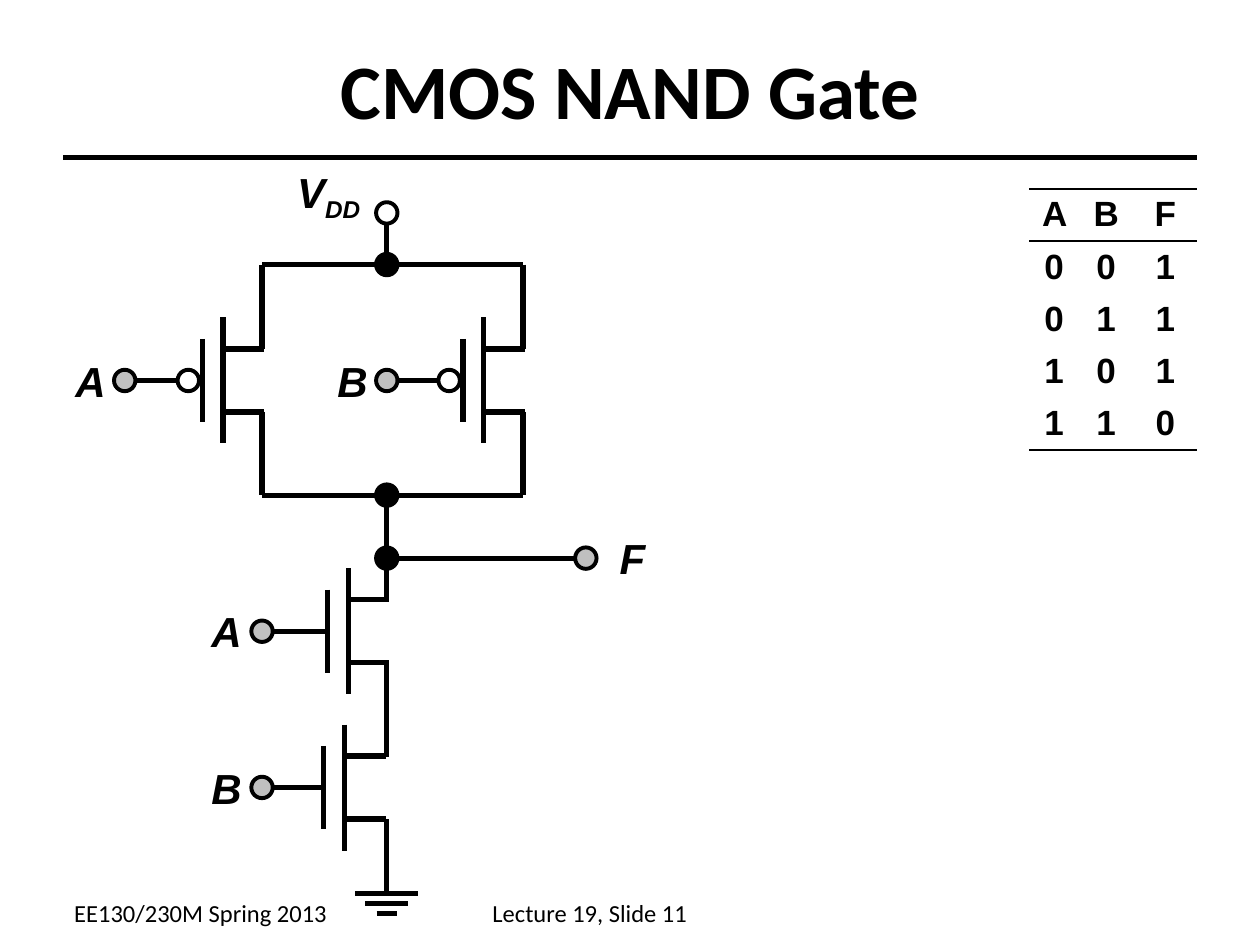
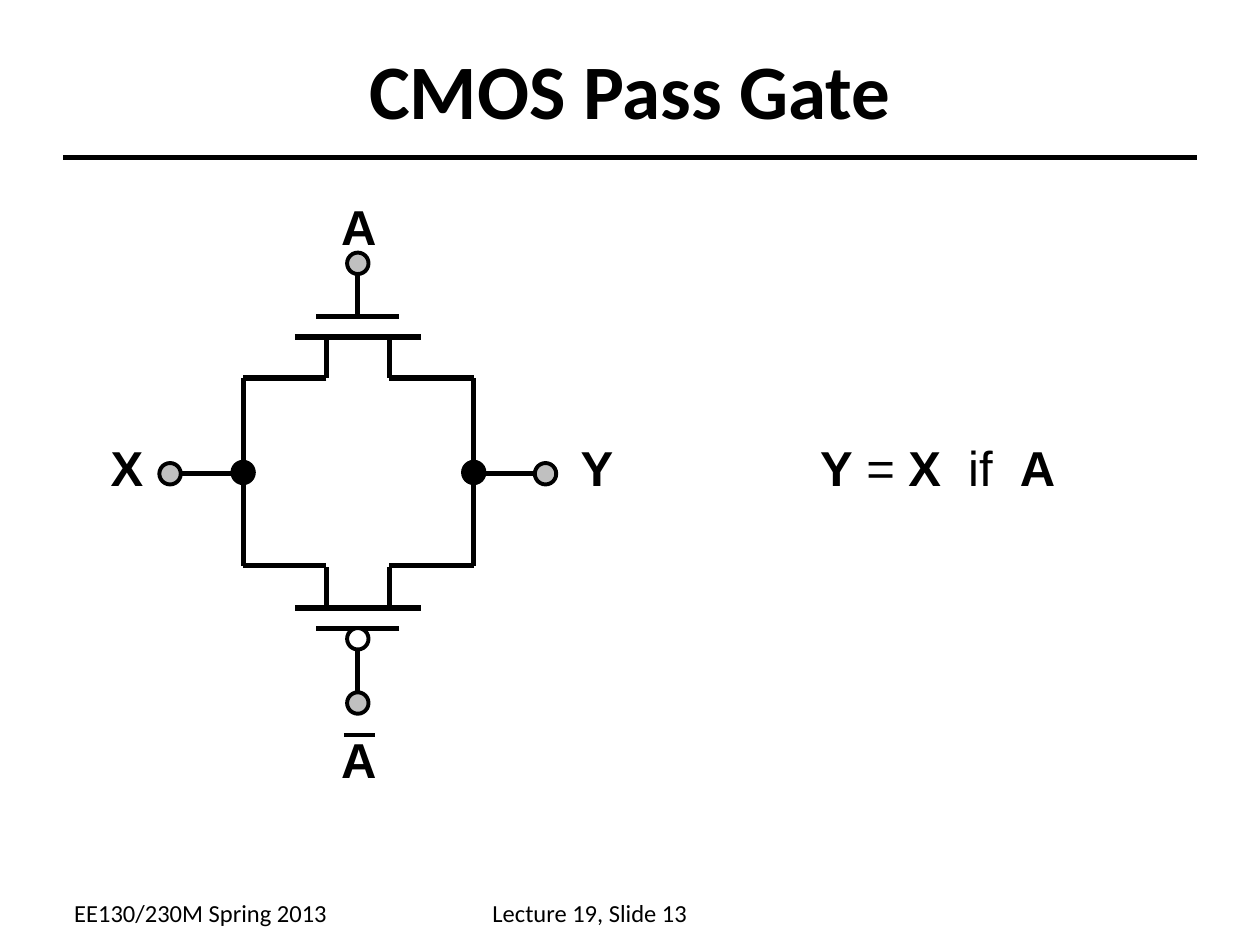
from lxml import etree
from pptx import Presentation
from pptx.dml.color import RGBColor
from pptx.enum.shapes import MSO_CONNECTOR, MSO_SHAPE
from pptx.enum.text import MSO_ANCHOR, MSO_AUTO_SIZE, PP_ALIGN
from pptx.oxml.ns import qn
from pptx.util import Inches, Pt

STRAIGHT = MSO_CONNECTOR.STRAIGHT
OVAL = MSO_SHAPE.OVAL
MIDDLE = MSO_ANCHOR.MIDDLE
FIT_SHAPE = MSO_AUTO_SIZE.SHAPE_TO_FIT_TEXT
LEFT, CENTER = PP_ALIGN.LEFT, PP_ALIGN.CENTER

BLACK, WHITE, GREY = "000000", "FFFFFF", "C0C0C0"
HEAD_FONT, LABEL_FONT = "Calibri", "Arial"
WIRE, RING = 3, 2.25          # line widths in points
DIAMETER = 0.17               # terminals, bubbles and junctions
RULE_Y = 1.25

# The grid has 10 columns and 7.5 rows
SLIDE_W, SLIDE_H = Inches(10), Inches(7.5)
COL, ROW = SLIDE_W / 10, SLIDE_H / 7.5


def x_at(columns):
    return round(columns * COL)


def y_at(rows):
    return round(rows * ROW)


def color(value):
    return RGBColor.from_string(value)


# Text
def write(p, text, size=24, font=LABEL_FONT, bold=False, italic=False,
          baseline=0, align=LEFT):
    p.alignment = align
    r = p.add_run()
    r.text = text
    r.font.size, r.font.name = Pt(size), font
    r.font.bold, r.font.italic = bold, italic
    r.font.color.rgb = color(BLACK)
    if baseline:
        r._r.get_or_add_rPr().set("baseline", str(baseline * 1000))


def label(s, x, y, width, *runs, size=24, **fmt):
    """A one-line box; each run is a text or a (text, format) pair."""
    height = size * 1.2 / 72 + 0.1
    box = s.shapes.add_textbox(x_at(x), y_at(y), x_at(width), y_at(height))
    tf = box.text_frame
    tf.word_wrap = False
    tf.auto_size = FIT_SHAPE
    for run in runs:
        text, extra = (run, {}) if isinstance(run, str) else run
        write(tf.paragraphs[0], text, **{"size": size, **fmt, **extra})


# Circuit parts
def wire(s, *points, width=WIRE):
    """Straight lines through the points; returns the last one."""
    for (x1, y1), (x2, y2) in zip(points, points[1:]):
        line = s.shapes.add_connector(STRAIGHT, x_at(x1), y_at(y1),
                                      x_at(x2), y_at(y2))
        line.line.color.rgb = color(BLACK)
        line.line.width = Pt(width)
        etree.SubElement(line.element.spPr, qn("a:effectLst"))
    return line


def circle(s, x, y, fill):
    sp = s.shapes.add_shape(OVAL, x_at(x - DIAMETER / 2), y_at(y - DIAMETER / 2),
                            x_at(DIAMETER), y_at(DIAMETER))
    sp.shadow.inherit = False
    sp.fill.solid()
    sp.fill.fore_color.rgb = color(fill)
    sp.line.color.rgb = color(BLACK)
    sp.line.width = Pt(RING)


def mosfet(s, x, y, dx, dy):
    """Gate bar centred on (x, y), with the channel towards (dx, dy)."""
    def point(along, across):
        return x + dx * along + dy * across, y + dy * along + dx * across

    gap, reach = 0.165, 0.49
    wire(s, point(0, -0.33), point(0, 0.33))
    wire(s, point(gap, -0.5), point(gap, 0.5))
    for across in (-0.25, 0.25):
        wire(s, point(gap, across), point(reach, across))


# Table
def border(cell, side, width):
    ln = etree.SubElement(cell._tc.get_or_add_tcPr(), qn("a:" + side))
    if not width:
        etree.SubElement(ln, qn("a:noFill"))
        return
    ln.set("w", str(Pt(width)))
    fill = etree.SubElement(ln, qn("a:solidFill"))
    etree.SubElement(fill, qn("a:srgbClr")).set("val", BLACK)


def truth_table(s, x, y, widths, row_height, rows):
    frame = s.shapes.add_table(len(rows), len(widths), x_at(x), y_at(y),
                               x_at(sum(widths)), y_at(row_height * len(rows)))
    table = frame.table
    table.first_row = table.horz_banding = False
    for column, width in zip(table.columns, widths):
        column.width = x_at(width)
    last = len(rows) - 1
    for i, values in enumerate(rows):
        table.rows[i].height = y_at(row_height)
        for j, value in enumerate(values):
            cell = table.cell(i, j)
            cell.margin_bottom = y_at(0.03)
            write(cell.text_frame.paragraphs[0], value, size=20, bold=True,
                  align=CENTER)
            border(cell, "lnL", 0)
            border(cell, "lnR", 0)
            border(cell, "lnT", 1.47 if i in (0, 1) else 0)
            border(cell, "lnB", 1.47 if i in (0, last) else 0)
            cell.fill.background()


# Shared title and footer
def new_slide(prs, title, number):
    s = prs.slides.add_slide(prs.slide_layouts[5])
    sp = s.shapes.title
    sp.left, sp.top = x_at(0.5), y_at(0.08)
    sp.width, sp.height = x_at(9), y_at(1.25)
    tf = sp.text_frame
    tf.vertical_anchor = MIDDLE
    write(tf.paragraphs[0], title, size=44, font=HEAD_FONT, bold=True,
          align=CENTER)
    label(s, 0.49, 7.08, 2.21, "EE130/230M Spring 2013", size=14, font=HEAD_FONT)
    label(s, 3.81, 7.08, 2.37, f"Lecture 19, Slide {number}", size=14,
          font=HEAD_FONT)
    return s


def add_layout_rule(prs, s):
    rule = wire(s, (0.5, RULE_Y), (9.5, RULE_Y))
    prs.slide_layouts[5].shapes.element.append(rule.element)


def nand_slide(prs):
    s = new_slide(prs, "CMOS NAND Gate", 11)
    add_layout_rule(prs, s)
    truth_table(s, 8.17, 1.5, (0.39, 0.44, 0.5), 0.33,
                ("ABF", "001", "011", "101", "110"))

    left, mid, right = 2.08, 3.07, 4.15
    supply, top, bottom, output = 1.69, 2.1, 3.93, 4.43
    name = {"bold": True, "italic": True}

    # Pull-up pair in parallel
    pull_up_y = 3.02
    wire(s, (mid, supply + DIAMETER / 2), (mid, top))
    for y in (top, bottom):
        wire(s, (left, y), (right, y))
    for text, drain, terminal in (("A", left, 0.99), ("B", right, mid)):
        gate = drain - 0.475
        bubble = gate - 0.11
        mosfet(s, gate, pull_up_y, 1, 0)
        wire(s, (drain, top), (drain, pull_up_y - 0.25))
        wire(s, (drain, pull_up_y + 0.25), (drain, bottom))
        wire(s, (terminal, pull_up_y), (bubble, pull_up_y))
        circle(s, bubble, pull_up_y, WHITE)
        circle(s, terminal, pull_up_y, GREY)
        label(s, terminal - 0.49, 2.77, 0.44, text, **name)

    # Pull-down pair in series
    input_x = 2.08
    for text, gate, y in (("A", 2.6, 5.01), ("B", 2.57, 6.25)):
        mosfet(s, gate, y, 1, 0)
        wire(s, (input_x, y), (gate, y))
        circle(s, input_x, y, GREY)
        label(s, 1.58, y - 0.25, 0.44, text, **name)
    for start, end in ((bottom, 4.76), (5.26, 6.01), (6.5, 7.08)):
        wire(s, (mid, start), (mid, end))

    # Ground
    for i, half in enumerate((0.25, 0.17, 0.08)):
        y = 7.09 + i * 0.08
        wire(s, (mid - half, y), (mid + half, y))

    # Output, supply and junctions
    output_x = 4.65
    wire(s, (mid, output), (output_x, output))
    circle(s, output_x, output, GREY)
    label(s, 4.82, 4.18, 0.4, "F", **name)
    circle(s, mid, supply, WHITE)
    label(s, 2.26, 1.27, 0.7, "V", ("DD", {"baseline": -25}), **name)
    for y in (top, bottom, output):
        circle(s, mid, y, BLACK)


def pass_gate_slide(prs):
    s = new_slide(prs, "CMOS Pass Gate", 13)
    left, mid, right = 1.93, 2.84, 3.76
    top, centre, bottom = 3, 3.76, 4.49
    name = {"size": 28, "bold": True}

    # Transistors facing each other, joined by the side wires
    mosfet(s, mid, 2.51, 0, 1)
    mosfet(s, mid, 4.99, 0, -1)
    for side, stub in ((left, mid - 0.25), (right, mid + 0.25)):
        wire(s, (stub, top), (side, top), (side, bottom), (stub, bottom))

    # Gate inputs
    gate_a, bubble, gate_not_a = 2.09, 5.07, 5.58
    wire(s, (mid, gate_a), (mid, 2.51))
    wire(s, (mid, bubble), (mid, gate_not_a))
    for y, fill in ((gate_a, GREY), (bubble, WHITE), (gate_not_a, GREY)):
        circle(s, mid, y, fill)
    for y in (1.51, 5.74):
        label(s, 2.61, y, 0.48, "A", **name)
    wire(s, (2.73, 5.83), (2.98, 5.83), width=RING)

    # Input and output
    for text, node, terminal, text_x in (("X", left, 1.35, 0.78),
                                         ("Y", right, 4.33, 4.51)):
        wire(s, (node, centre), (terminal, centre))
        circle(s, terminal, centre, GREY)
        circle(s, node, centre - 0.01, BLACK)
        label(s, text_x, 3.42, 0.46, text, **name)

    # Function
    plain = {"bold": False}
    label(s, 6.41, 3.42, 2.12, "Y", (" = ", plain), "X", ("  if  ", plain), "A",
          **name)


def main():
    prs = Presentation()
    prs.slide_width, prs.slide_height = SLIDE_W, SLIDE_H
    nand_slide(prs)
    pass_gate_slide(prs)
    prs.save("out.pptx")


if __name__ == "__main__":
    main()
